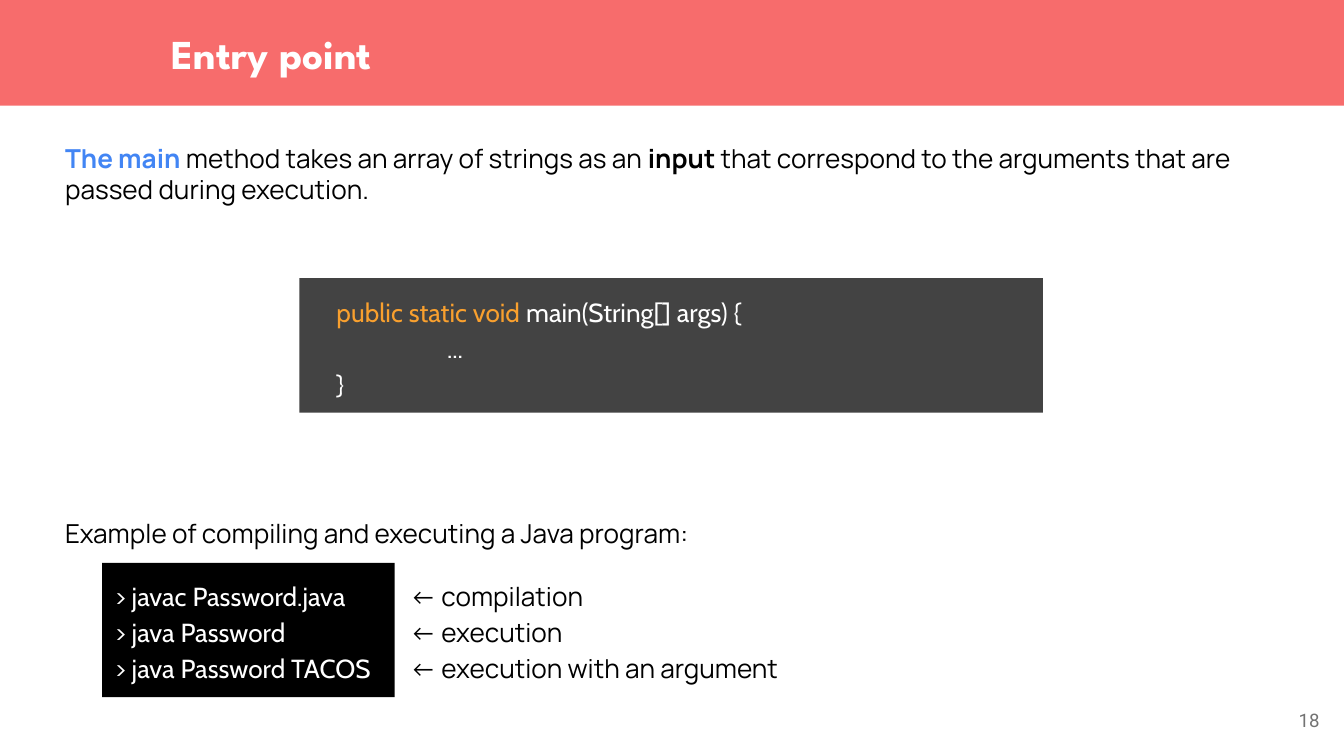
from pptx import Presentation
from pptx.dml.color import RGBColor
from pptx.enum.shapes import MSO_SHAPE
from pptx.enum.text import MSO_ANCHOR, MSO_AUTO_SIZE, PP_ALIGN
from pptx.util import Cm, Pt

COLORS = {
    "coral": "F76C6C",
    "white": "FFFFFF",
    "black": "000000",
    "charcoal": "434343",
    "orange": "F9A02E",
    "blue": "4285F4",
    "gray": "737373",
}


def write_text(shape, paragraphs, font="Manrope", size=14, color="black", bold=False,
               align=PP_ALIGN.LEFT, anchor=MSO_ANCHOR.TOP, spacing=1.0,
               inset=0.25, indents=()):
    """Each paragraph is a list of (text, color, bold); None keeps the default."""
    frame = shape.text_frame
    frame.word_wrap = True
    frame.auto_size = MSO_AUTO_SIZE.NONE
    frame.vertical_anchor = anchor
    frame.margin_left = frame.margin_right = Cm(inset)
    frame.margin_top = frame.margin_bottom = Cm(inset)
    for index, runs in enumerate(paragraphs):
        paragraph = frame.paragraphs[0] if index == 0 else frame.add_paragraph()
        paragraph.alignment = align
        paragraph.line_spacing = spacing
        if indents:
            paragraph._p.get_or_add_pPr().set("marL", str(Cm(indents[index])))
        for text, run_color, run_bold in runs:
            run = paragraph.add_run()
            run.text = text
            run.font.name = font
            run.font.size = Pt(size)
            run.font.bold = bold if run_bold is None else run_bold
            run.font.color.rgb = RGBColor.from_string(COLORS[run_color or color])


def add_block(slide, left, top, width, height, fill):
    shape = slide.shapes.add_shape(
        MSO_SHAPE.RECTANGLE, Cm(left), Cm(top), Cm(width), Cm(height))
    shape.shadow.inherit = False
    shape.fill.solid()
    shape.fill.fore_color.rgb = RGBColor.from_string(COLORS[fill])
    shape.line.fill.background()
    return shape


presentation = Presentation()
presentation.slide_width = Cm(25.4)
presentation.slide_height = Cm(14.29)
slide = presentation.slides.add_slide(presentation.slide_layouts[5])

# Title on its band, with the band behind it
title = slide.shapes.title
band = add_block(slide, -0.05, 0, 25.5, 2, "coral")
title.element.addprevious(band.element)
title.left, title.top, title.width, title.height = Cm(3.25), Cm(0), Cm(11.02), Cm(2)
write_text(title, [[("Entry point", None, None)]], font="League Spartan", size=22,
           color="white", bold=True, anchor=MSO_ANCHOR.MIDDLE, inset=0)

# Slide number
number = slide.shapes.add_textbox(Cm(23.67), Cm(13.06), Cm(1.52), Cm(1.09))
write_text(number, [[("18", None, None)]], font="Roboto", size=10, color="gray",
           align=PP_ALIGN.RIGHT, anchor=MSO_ANCHOR.MIDDLE)

# Signature of the main method
signature = add_block(slide, 5.66, 5.26, 14.05, 2.54, "charcoal")
write_text(signature, [
    [("public static void ", "orange", None), ("main(String[] args) {", None, None)],
    [("...", None, None)],
    [("}", None, None)],
], font="Cabin", color="white", spacing=1.15, indents=(0.45, 2.54, 0.45))

# Explanation
explanation = slide.shapes.add_textbox(Cm(0.98), Cm(2.44), Cm(23.65), Cm(3.12))
write_text(explanation, [[
    ("The main", "blue", True),
    (" method takes an array of strings as an ", None, None),
    ("input", None, True),
    (" that correspond to the arguments that are passed during execution.", None, None),
]])

# Terminal commands and what each one does
steps = [
    ("> javac Password.java", "← compilation"),
    ("> java Password", "← execution"),
    ("> java Password TACOS", "← execution with an argument"),
]
terminal = add_block(slide, 1.93, 10.64, 5.53, 2.54, "black")
write_text(terminal, [[(command, None, None)] for command, note in steps],
           font="Cabin", color="white", spacing=1.15)
notes = slide.shapes.add_textbox(Cm(7.5), Cm(10.64), Cm(8.15), Cm(2.54))
write_text(notes, [[(note, None, None)] for command, note in steps], spacing=1.15)

# Heading of the example
example = slide.shapes.add_textbox(Cm(0.98), Cm(9.45), Cm(16.15), Cm(1.09))
write_text(example, [[("Example of compiling and executing a Java program:", None, None)]],
           spacing=1.15)

presentation.save("out.pptx")
